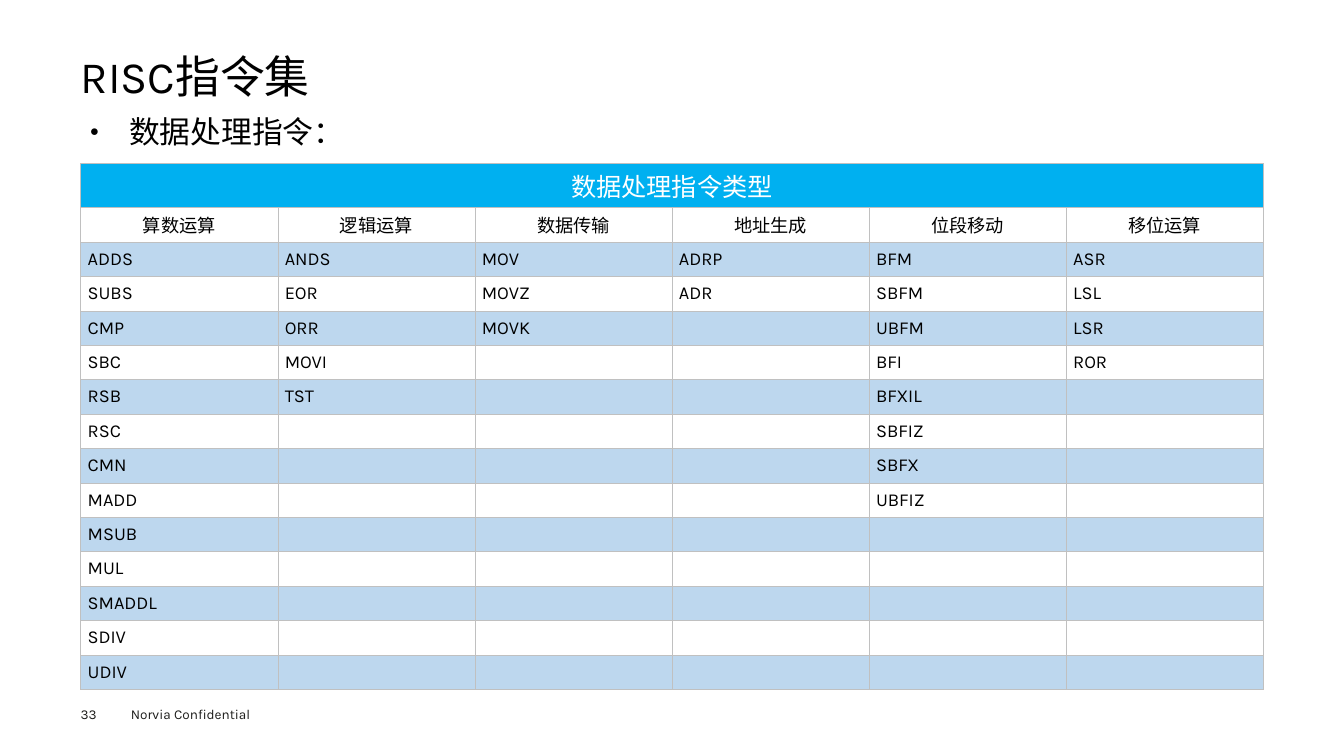
from dataclasses import dataclass
from itertools import zip_longest
from lxml import etree
from pptx import Presentation
from pptx.dml.color import RGBColor
from pptx.enum.text import MSO_ANCHOR, MSO_AUTO_SIZE, PP_ALIGN
from pptx.oxml.ns import qn
from pptx.util import Inches, Pt


@dataclass(frozen=True)
class Theme:
    font: str = "Karla"
    black: str = "000000"
    white: str = "FFFFFF"
    head: str = "00B0F0"
    band: str = "BDD7EE"
    rule: str = "C0C0C0"
    foot: str = "1D1D1B"
    title_pt: float = 32
    body_pt: float = 22
    head_pt: float = 18
    cell_pt: float = 13
    foot_pt: float = 9.7


THEME = Theme()

GROUPS = {
    "算数运算": "ADDS SUBS CMP SBC RSB RSC CMN MADD MSUB MUL SMADDL SDIV UDIV",
    "逻辑运算": "ANDS EOR ORR MOVI TST",
    "数据传输": "MOV MOVZ MOVK",
    "地址生成": "ADRP ADR",
    "位段移动": "BFM SBFM UBFM BFI BFXIL SBFIZ SBFX UBFIZ",
    "移位运算": "ASR LSL LSR ROR",
}


def style(para, size, color, align=PP_ALIGN.LEFT):
    para.alignment = align
    font = para.font
    font.name, font.size = THEME.font, Pt(size)
    font.color.rgb = RGBColor.from_string(color)


def place(shape, box):
    shape.left, shape.top, shape.width, shape.height = map(Inches, box)


def inset(item, side, end):
    item.margin_left = item.margin_right = Inches(side)
    item.margin_top = item.margin_bottom = Inches(end)


# Title placeholder
def add_title(slide, box, text):
    shape = slide.shapes.title
    place(shape, box)
    frame = shape.text_frame
    frame.text = text
    frame.auto_size = MSO_AUTO_SIZE.NONE
    frame.vertical_anchor = MSO_ANCHOR.BOTTOM
    inset(frame, 0, 0)
    para = frame.paragraphs[0]
    para.line_spacing = 0.9
    style(para, THEME.title_pt, THEME.black)


# Body placeholder with one bullet
def add_body(slide, box, text):
    shape = slide.placeholders[1]
    place(shape, box)
    frame = shape.text_frame
    frame.text = text
    frame.auto_size = MSO_AUTO_SIZE.NONE
    inset(frame, 0.09, 0.04)
    para = frame.paragraphs[0]
    para.line_spacing, para.space_before = Pt(30), Pt(0)
    props = para._p.get_or_add_pPr()
    props.set("marL", str(Inches(0.39)))
    props.set("indent", str(-Inches(0.39)))
    etree.SubElement(props, qn("a:buSzPct"), val="50000")
    etree.SubElement(props, qn("a:buChar"), char="●")
    style(para, THEME.body_pt, THEME.black, PP_ALIGN.JUSTIFY)


def add_border(cell):
    props = cell._tc.get_or_add_tcPr()
    for side in ("lnL", "lnR", "lnT", "lnB"):
        line = etree.SubElement(props, qn(f"a:{side}"), w=str(Pt(0.38)))
        fill = etree.SubElement(line, qn("a:solidFill"))
        etree.SubElement(fill, qn("a:srgbClr"), val=THEME.rule)


def fill_cell(cell, text, size, color, back, align):
    add_border(cell)
    cell.fill.solid()
    cell.fill.fore_color.rgb = RGBColor.from_string(back)
    cell.vertical_anchor = MSO_ANCHOR.MIDDLE
    inset(cell, 0.07, 0.04)
    cell.text = text
    para = cell.text_frame.paragraphs[0]
    style(para, size, color, align)
    if not text:  # an empty cell takes its line height from the end mark
        etree.SubElement(para._p, qn("a:endParaRPr"), sz=str(size * 100))


# Instruction table: merged heading, group names, banded rows
def add_grid(slide, box, heading, groups):
    rows = [list(groups)]
    rows += zip_longest(*(names.split() for names in groups.values()), fillvalue="")
    width, height = box[2:]
    count, first = len(groups), 0.44
    table = slide.shapes.add_table(len(rows) + 1, count, *map(Inches, box)).table
    table.first_row = table.horz_banding = False
    for col in table.columns:
        col.width = Inches(width / count)
    for row in table.rows:
        row.height = Inches((height - first) / len(rows))
    table.rows[0].height = Inches(first)

    table.cell(0, 0).merge(table.cell(0, count - 1))
    for c in range(count):
        fill_cell(table.cell(0, c), "" if c else heading, THEME.head_pt,
                  THEME.white, THEME.head, PP_ALIGN.CENTER)
    for r, row in enumerate(rows):
        back = THEME.band if r % 2 else THEME.white
        align = PP_ALIGN.LEFT if r else PP_ALIGN.CENTER
        for c, text in enumerate(row):
            fill_cell(table.cell(r + 1, c), text, THEME.cell_pt,
                      THEME.black, back, align)


# Footer text
def add_note(slide, box, text, side=0, end=0):
    frame = slide.shapes.add_textbox(*map(Inches, box)).text_frame
    frame.text = text
    frame.word_wrap = True
    inset(frame, side, end)
    style(frame.paragraphs[0], THEME.foot_pt, THEME.foot)


def main():
    deck = Presentation()
    deck.slide_width, deck.slide_height = Inches(13.33), Inches(7.5)
    slide = deck.slides.add_slide(deck.slide_layouts[1])
    left, width = 0.8, 11.73
    add_note(slide, (1.2, 6.95, 1.6, 0.27), "Norvia Confidential", 0.1, 0.05)
    add_note(slide, (left, 7, 0.55, 0.16), "33")
    add_title(slide, (left, 0.49, width, 0.53), "RISC指令集")
    add_body(slide, (left, 1.03, width, 5.34), "数据处理指令：")
    add_grid(slide, (left, 1.62, width, 5.22), "数据处理指令类型", GROUPS)
    deck.save("out.pptx")


if __name__ == "__main__":
    main()
